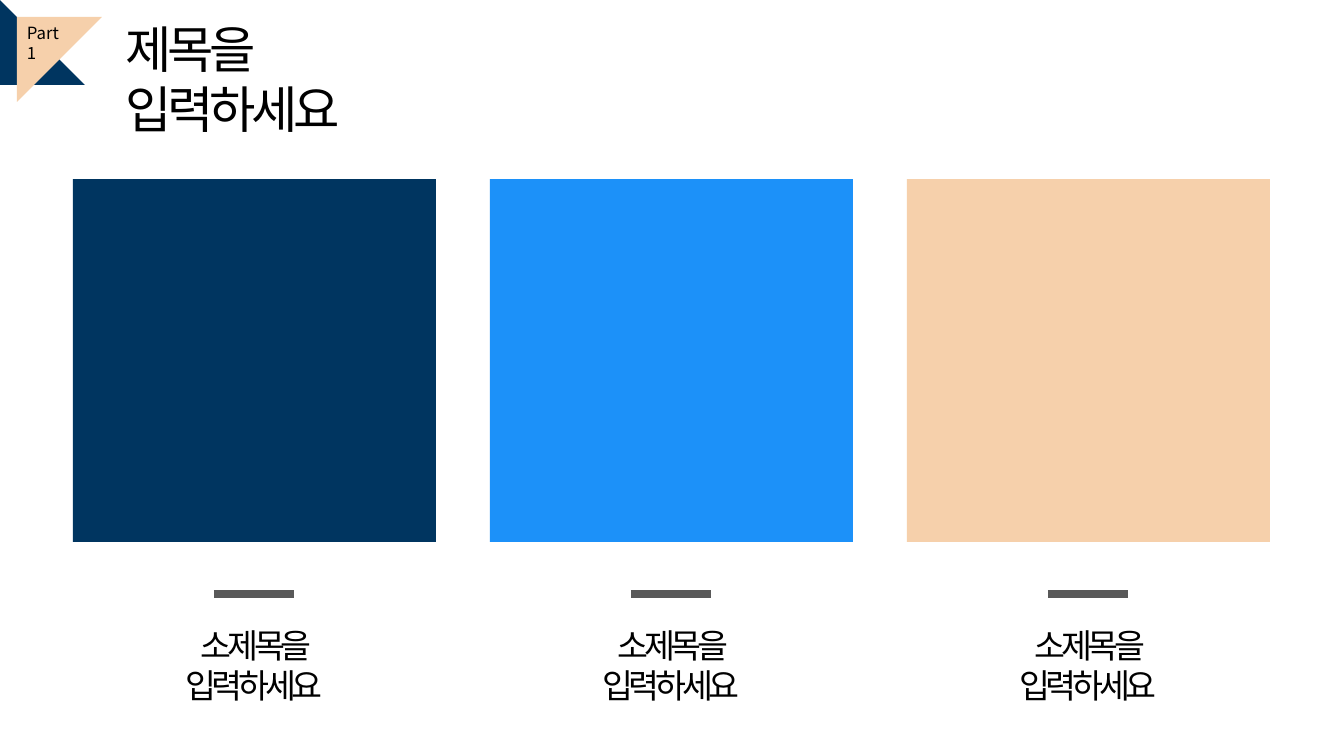
from pptx import Presentation
from pptx.dml.color import RGBColor
from pptx.enum import shapes, text
from pptx.oxml import ns
from pptx.util import Emu, Pt
from lxml import etree

NAVY = RGBColor(0x00, 0x35, 0x60)
BLUE = RGBColor(0x1C, 0x91, 0xF9)
PEACH = RGBColor(0xF6, 0xD0, 0xAB)
GRAY = RGBColor(0x59, 0x59, 0x59)
BLACK = RGBColor(0, 0, 0)
FONT = "Noto Sans CJK KR"

COLUMN_LEFT = 73
COLUMN_STEP = 417
TILE_SIZE = 363
BAR_WIDTH = 80
CAPTION_WIDTH = 250


def px(length):
    return Emu(round(length * 914400 / 100.8))


def add_block(slide, kind, left, top, size, color, rotation=0):
    shape = slide.shapes.add_shape(kind, px(left), px(top), px(size), px(size))
    shape.shadow.inherit = False
    shape.fill.solid()
    shape.fill.fore_color.rgb = color
    shape.line.fill.background()
    shape.rotation = rotation


def write_text(shape, content, size, alignment, spacing=0):
    frame = shape.text_frame
    frame.text = content
    frame.word_wrap = True
    frame.auto_size = text.MSO_AUTO_SIZE.SHAPE_TO_FIT_TEXT
    frame.vertical_anchor = text.MSO_ANCHOR.TOP
    paragraph = frame.paragraphs[0]
    paragraph.alignment = alignment
    paragraph.font.name = FONT
    paragraph.font.size = Pt(size)
    paragraph.font.color.rgb = BLACK
    east_asian = {"typeface": FONT}
    defaults = paragraph._p.pPr.find(ns.qn("a:defRPr"))
    etree.SubElement(defaults, ns.qn("a:ea"), east_asian)
    run_properties = paragraph.runs[0]._r.get_or_add_rPr()
    run_properties.set("spc", str(spacing * 100))
    etree.SubElement(run_properties, ns.qn("a:ea"), east_asian)


def add_label(slide, content, left, top, width, height, size, alignment, spacing=0):
    shape = slide.shapes.add_textbox(px(left), px(top), px(width), px(height))
    write_text(shape, content, size, alignment, spacing)


def set_title(slide, content):
    title = slide.shapes.title
    title.left, title.top, title.width, title.height = map(px, (115, 13, 347, 72))
    write_text(title, content, 36, text.PP_ALIGN.LEFT, -3)


def add_bar(slide, left, top):
    bar = slide.shapes.add_connector(
        shapes.MSO_CONNECTOR.STRAIGHT, px(left), px(top), px(left + BAR_WIDTH), px(top))
    bar.line.color.rgb = GRAY
    bar.line.width = Pt(6)
    etree.SubElement(bar._element.spPr, ns.qn("a:effectLst"))


def add_column(slide, left, color, caption):
    center = left + TILE_SIZE // 2
    add_block(slide, shapes.MSO_SHAPE.RECTANGLE, left, 179, TILE_SIZE, color)
    add_bar(slide, center - BAR_WIDTH // 2, 594)
    add_label(slide, caption, center - CAPTION_WIDTH // 2, 620, CAPTION_WIDTH, 50,
              24, text.PP_ALIGN.CENTER, -3)


def main():
    presentation = Presentation()
    presentation.slide_width = px(1344)
    presentation.slide_height = px(756)
    slide = presentation.slides.add_slide(presentation.slide_layouts[5])
    set_title(slide, "제목을 입력하세요")
    triangle = shapes.MSO_SHAPE.RIGHT_TRIANGLE
    add_block(slide, triangle, 0, 0, 85, NAVY)
    add_block(slide, triangle, 17, 17, 85, PEACH, 90)
    add_label(slide, "Part 1", 17, 18, 63, 30, 12, text.PP_ALIGN.LEFT)
    for index, color in enumerate((NAVY, BLUE, PEACH)):
        add_column(slide, COLUMN_LEFT + index * COLUMN_STEP, color, "소제목을 입력하세요")
    presentation.save("out.pptx")


if __name__ == "__main__":
    main()
